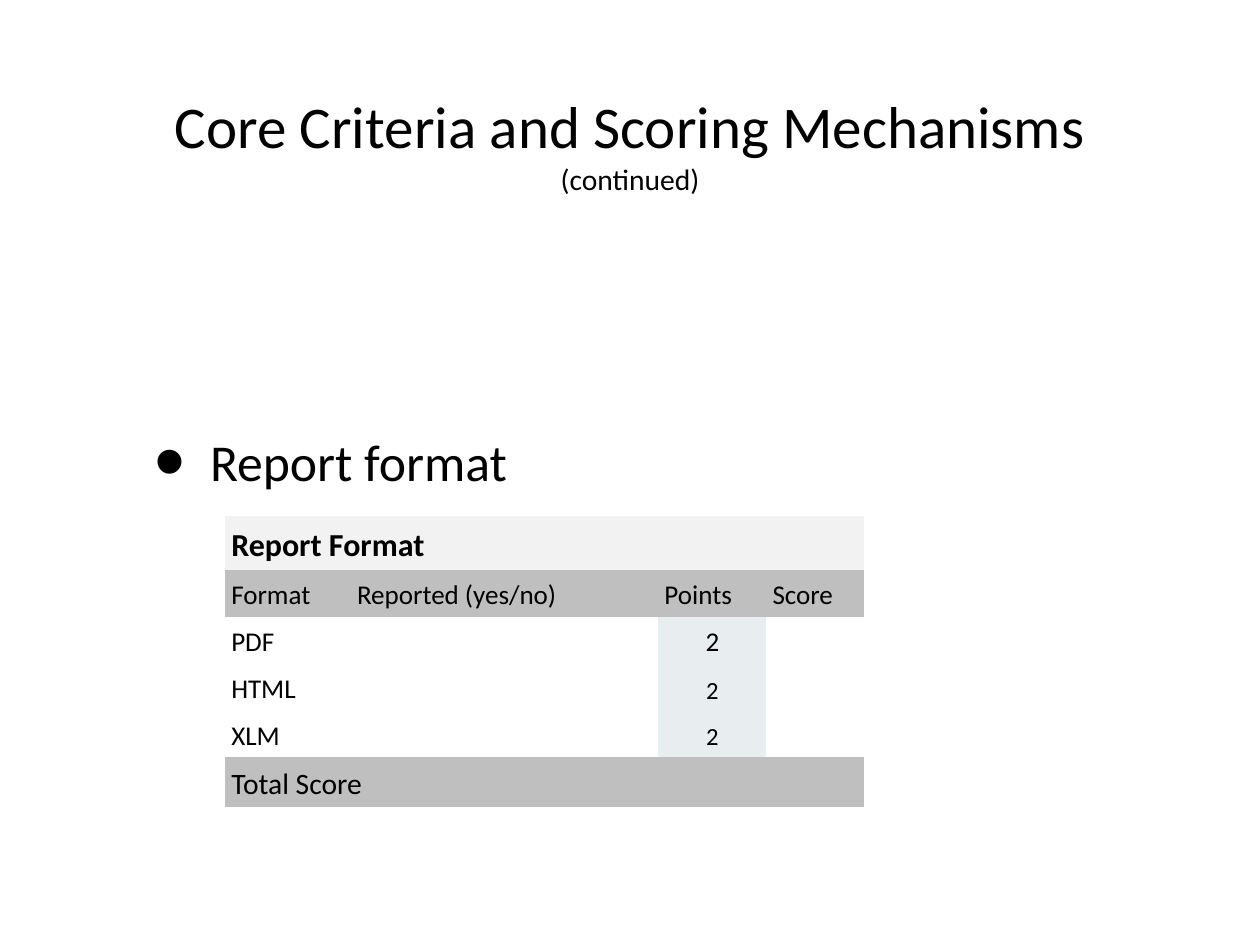
import pptx
import pptx.dml.color
import pptx.enum.text
import pptx.oxml.ns
import pptx.util
from lxml import etree
from pptx.util import Inches

FONT = "Calibri"
BLACK = "000000"
WHITE = "FFFFFF"
LIGHT_GREY = "F2F2F2"
GREY = "BFBFBF"
PALE_BLUE = "E8EEF0"
NO_GRID_STYLE = "{2D5ABB26-0587-4C30-8999-92F81FD0307C}"

COLUMN_WIDTHS = [1.42, 3.47, 1.22, 1.1]
ROW_HEIGHTS = [0.5, 0.42, 0.42, 0.42, 0.42, 0.46]
HEADINGS = ["Format", "Reported (yes/no)", "Points", "Score"]
FORMATS = [("PDF", "2", 22), ("HTML", "2", 20), ("XLM", "2", 20)]


def color(value):
    return pptx.dml.color.RGBColor.from_string(value)


def format_font(font, size, bold=False):
    font.name = FONT
    font.size = pptx.util.Pt(size)
    font.bold = bold
    font.color.rgb = color(BLACK)


def place_placeholder(shape, left, top, width, height):
    shape.left, shape.top = Inches(left), Inches(top)
    shape.width, shape.height = Inches(width), Inches(height)
    frame = shape.text_frame
    frame.word_wrap = True
    frame.auto_size = pptx.enum.text.MSO_AUTO_SIZE.NONE
    frame.vertical_anchor = pptx.enum.text.MSO_ANCHOR.MIDDLE
    frame.margin_left = frame.margin_right = Inches(0.06)
    frame.margin_top = frame.margin_bottom = Inches(0.06)
    return frame


def fill_title(shape):
    frame = place_placeholder(shape, 1.39, 0.15, 11.44, 2.92)
    paragraph = frame.paragraphs[0]
    paragraph.alignment = pptx.enum.text.PP_ALIGN.CENTER
    for text, size in [("Core Criteria and Scoring Mechanisms", 48),
                       (" ", 26), ("(continued)", 24)]:
        run = paragraph.add_run()
        run.text = text
        format_font(run.font, size)


def add_bullet(paragraph, indent, hanging, size_percent):
    properties = paragraph._p.get_or_add_pPr()
    properties.set("marL", str(Inches(indent)))
    properties.set("indent", str(-Inches(hanging)))
    qn = pptx.oxml.ns.qn
    bullet_color = etree.SubElement(properties, qn("a:buClr"))
    etree.SubElement(bullet_color, qn("a:srgbClr"), val=BLACK)
    etree.SubElement(properties, qn("a:buSzPct"), val=str(size_percent * 1000))
    etree.SubElement(properties, qn("a:buChar"), char="•")


def fill_body(shape):
    frame = place_placeholder(shape, 1.39, 4.7, 11.44, 1)
    frame.text = "Report format"
    paragraph = frame.paragraphs[0]
    paragraph.space_before = pptx.util.Pt(0)
    add_bullet(paragraph, 0.92, 0.63, 171)
    format_font(paragraph.runs[0].font, 42)


def fill_cell(cell, fill, text="", size=22, bold=False, centered=False):
    cell.fill.solid()
    cell.fill.fore_color.rgb = color(fill)
    if not text:
        return
    cell.vertical_anchor = pptx.enum.text.MSO_ANCHOR.BOTTOM
    cell.margin_left = cell.margin_right = Inches(0.07)
    cell.margin_top = cell.margin_bottom = Inches(0.05)
    cell.text = text
    paragraph = cell.text_frame.paragraphs[0]
    paragraph.line_spacing = 1.15
    if centered:
        paragraph.alignment = pptx.enum.text.PP_ALIGN.CENTER
    format_font(paragraph.runs[0].font, size, bold)


def add_score_table(slide):
    frame = slide.shapes.add_table(
        len(ROW_HEIGHTS), len(COLUMN_WIDTHS), Inches(2.54), Inches(5.82),
        Inches(sum(COLUMN_WIDTHS)), Inches(sum(ROW_HEIGHTS)))
    table = frame.table
    table.first_row = table.horz_banding = False
    style = table._tbl.tblPr.find(pptx.oxml.ns.qn("a:tableStyleId"))
    style.text = NO_GRID_STYLE
    for column, width in zip(table.columns, COLUMN_WIDTHS):
        column.width = Inches(width)
    for row, height in zip(table.rows, ROW_HEIGHTS):
        row.height = Inches(height)

    table.cell(0, 0).merge(table.cell(0, 3))
    fill_cell(table.cell(0, 0), LIGHT_GREY, "Report Format", 26, bold=True)
    for column, heading in enumerate(HEADINGS):
        fill_cell(table.cell(1, column), GREY, heading)
    for row, (name, points, points_size) in enumerate(FORMATS, start=2):
        fill_cell(table.cell(row, 0), WHITE, name)
        fill_cell(table.cell(row, 1), WHITE)
        fill_cell(table.cell(row, 2), PALE_BLUE, points, points_size,
                  centered=True)
        fill_cell(table.cell(row, 3), WHITE)
    table.cell(5, 0).merge(table.cell(5, 2))
    fill_cell(table.cell(5, 0), GREY, "Total Score", 24)
    fill_cell(table.cell(5, 3), GREY)


def main():
    presentation = pptx.Presentation()
    presentation.slide_width = Inches(14.22)
    presentation.slide_height = Inches(10.66)
    slide = presentation.slides.add_slide(presentation.slide_layouts[1])
    fill_title(slide.shapes.title)
    fill_body(slide.placeholders[1])
    add_score_table(slide)
    presentation.save("out.pptx")


if __name__ == "__main__":
    main()
